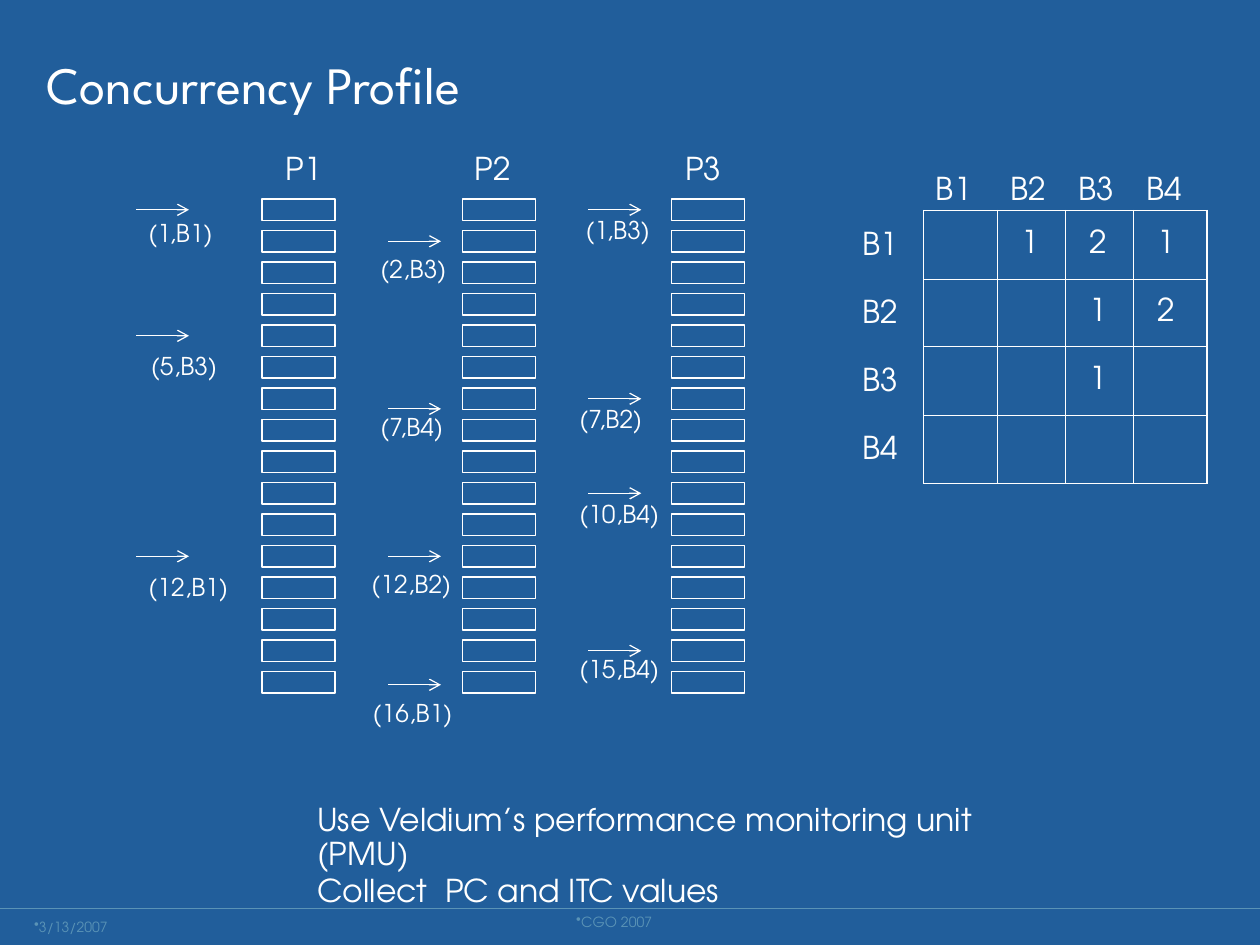
import pptx
import pptx.util
import pptx.dml.color
import pptx.enum.shapes
import pptx.enum.text
import pptx.oxml
import pptx.oxml.ns
from lxml import etree

Inch, Pt = pptx.util.Inches, pptx.util.Pt
qn = pptx.oxml.ns.qn
ALIGN, ANCHOR = pptx.enum.text.PP_ALIGN, pptx.enum.text.MSO_ANCHOR


class Theme:
    back, ink, faint = "215E9B", "FFFFFF", "5A93B6"
    head, body = "League Spartan", "TeX Gyre Adventor"
    title, text, event, foot = 30, 18, 14, 8
    line = 0.75


TITLE = "Concurrency Profile"
NOTE = ["Use Veldium’s performance monitoring unit (PMU)",
        "Collect  PC and ITC values"]
FOOT = [("3/13/2007", (0.27, 7.29, 1.21, 0.13), ALIGN.LEFT),
        ("CGO 2007", (1.58, 7.25, 6.59, 0.13), ALIGN.CENTER)]

# Lane: name, name left, slots left, arrow left, events
# Event: cycle, block, label left, label drop and arrow shift from slot middle
LANES = [
    ("P1", 2.17, 2.08, 1.08, [
        (1, "B1", 1.08, 0.04, 0), (5, "B3", 1.1, 0.1, 0),
        (12, "B1", 1.08, 0.1, 0)]),
    ("P2", 3.67, 3.67, 3.08, [
        (2, "B3", 2.92, 0.08, 0), (7, "B4", 2.92, 0.08, 0.08),
        (12, "B2", 2.85, 0.08, 0), (16, "B1", 2.86, 0.1, 0.02)]),
    ("P3", 5.34, 5.33, 4.67, [
        (1, "B3", 4.55, 0.02, 0), (7, "B2", 4.5, 0.02, 0),
        (10, "B4", 4.5, 0.02, 0), (15, "B4", 4.5, 0, 0)]),
]
SLOTS, TOP, STEP, SLOT_W, SLOT_H = 16, 1.58, 0.25, 0.58, 0.17
ARROW = 0.42

BLOCKS = ["B1", "B2", "B3", "B4"]
PAIRS = [["", "1", "2", "1"],
         ["", "", "1", "2"],
         ["", "", "1", ""],
         ["", "", "", ""]]
GRID_X, GRID_Y = 7.33, 1.67
COLS, ROWS = [0.59, 0.54, 0.54, 0.58], [0.55, 0.53, 0.55, 0.54]
TAG_W, TAG_H = 0.51, 0.37


def rgb(code):
    return pptx.dml.color.RGBColor.from_string(code)


def style(para, size, color=Theme.ink, face=Theme.body):
    for run in para.runs:
        run.font.size, run.font.name = Pt(size), face
        run.font.color.rgb = rgb(color)


def space(para, size):
    para.line_spacing, para.space_before = 0.9, Pt(size / 10)


def label(slide, lines, box, size=Theme.text, wrap=False):
    frame = slide.shapes.add_textbox(*map(Inch, box)).text_frame
    frame.word_wrap = wrap
    frame.text = "\n".join(lines)
    for para in frame.paragraphs:
        style(para, size)
        space(para, size)


def rule(slide, start, end, color=Theme.ink, arrow=False):
    line = slide.shapes.add_connector(
        pptx.enum.shapes.MSO_CONNECTOR.STRAIGHT, *map(Inch, start + end))
    line.line.color.rgb, line.line.width = rgb(color), Pt(Theme.line)
    if arrow:
        etree.SubElement(line.line._get_or_add_ln(), qn("a:tailEnd"),
                         type="arrow")
    etree.SubElement(line._element.spPr, qn("a:effectLst"))


def draw_title(slide):
    shape = slide.shapes.title
    shape.left, shape.top, shape.width, shape.height = map(
        Inch, (0.37, 0.21, 8.02, 0.9))
    frame = shape.text_frame
    frame.text = TITLE
    frame.vertical_anchor = ANCHOR.MIDDLE
    frame.margin_left = frame.margin_right = 0
    frame.margin_top = frame.margin_bottom = 0
    para = frame.paragraphs[0]
    para.alignment = ALIGN.LEFT
    style(para, Theme.title, face=Theme.head)


def draw_lane(slide, name, name_x, slot_x, arrow_x, events):
    label(slide, [name], (name_x, 1.17, TAG_W, TAG_H))
    for row in range(SLOTS):
        slot = slide.shapes.add_shape(
            pptx.enum.shapes.MSO_SHAPE.RECTANGLE,
            *map(Inch, (slot_x, TOP + row * STEP, SLOT_W, SLOT_H)))
        slot.fill.background()
        slot.line.color.rgb, slot.line.width = rgb(Theme.ink), Pt(Theme.line)
        slot.shadow.inherit = False
    for cycle, block, x, drop, shift in events:
        mid = TOP + (cycle - 1) * STEP + SLOT_H / 2
        y = mid + shift
        rule(slide, (arrow_x, y), (arrow_x + ARROW, y), arrow=True)
        wide = 0.73 if cycle < 10 else 0.84
        label(slide, [f"({cycle},{block})"], (x, mid + drop, wide, 0.31),
              Theme.event)


def edge(cell):
    """Draw all four borders of a cell."""
    props = cell._tc.get_or_add_tcPr()
    for at, side in enumerate(("lnL", "lnR", "lnT", "lnB")):
        line = etree.Element(qn("a:" + side), w=str(Pt(Theme.line)))
        fill = etree.SubElement(line, qn("a:solidFill"))
        etree.SubElement(fill, qn("a:srgbClr"), val=Theme.ink)
        props.insert(at, line)


def draw_pairs(slide):
    table = slide.shapes.add_table(
        len(ROWS), len(COLS),
        *map(Inch, (GRID_X, GRID_Y, sum(COLS), sum(ROWS)))).table
    table.first_row = table.horz_banding = False
    for i, (block, wide, high) in enumerate(zip(BLOCKS, COLS, ROWS)):
        table.columns[i].width, table.rows[i].height = Inch(wide), Inch(high)
        x, y = GRID_X + sum(COLS[:i]), GRID_Y + sum(ROWS[:i])
        label(slide, [block], (x, GRID_Y - 0.34, TAG_W, TAG_H))
        label(slide, [block],
              (GRID_X - 0.58, y + (high - TAG_H) / 2, TAG_W, TAG_H))
    for r, values in enumerate(PAIRS):
        for c, value in enumerate(values):
            cell = table.cell(r, c)
            cell.text = value
            cell.vertical_anchor = ANCHOR.MIDDLE
            cell.margin_left = Inch(0.19)
            cell.fill.background()
            edge(cell)
            style(cell.text_frame.paragraphs[0], Theme.text)


def draw_foot(slide, text, box, align):
    frame = slide.shapes.add_textbox(*map(Inch, box)).text_frame
    frame.word_wrap = True
    frame.margin_left = frame.margin_right = 0
    frame.margin_top = frame.margin_bottom = 0
    frame.vertical_anchor = ANCHOR.MIDDLE
    frame.text = text
    para = frame.paragraphs[0]
    para.alignment = align
    style(para, Theme.foot, Theme.faint)
    props = para._p.get_or_add_pPr()
    props.set("marL", "0")
    props.set("indent", "0")
    etree.SubElement(props, qn("a:buChar"), char="•")


def main():
    deck = pptx.Presentation()
    deck.slide_width, deck.slide_height = Inch(10), Inch(7.5)
    slide = deck.slides.add_slide(deck.slide_layouts.get_by_name("Title Only"))
    slide.background.fill.solid()
    slide.background.fill.fore_color.rgb = rgb(Theme.back)
    rule(slide, (0, 7.21), (10, 7.21), Theme.faint)
    draw_title(slide)
    for lane in LANES:
        draw_lane(slide, *lane)
    draw_pairs(slide)
    label(slide, NOTE, (2.42, 6.33, 5.74, 0.68), wrap=True)
    for item in FOOT:
        draw_foot(slide, *item)
    deck.save("out.pptx")


if __name__ == "__main__":
    main()
